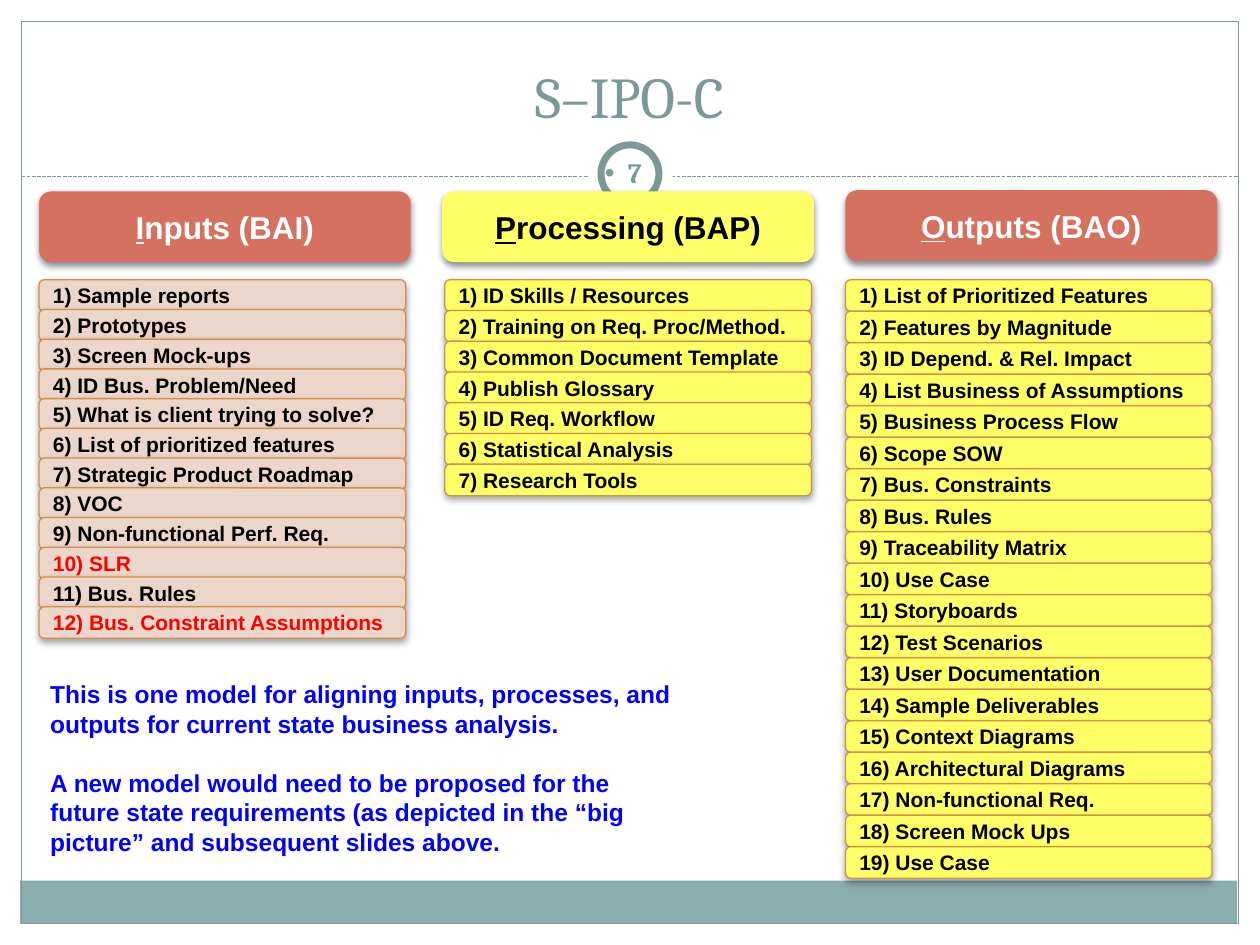
import pptx
import pptx.util
import pptx.dml.color
import pptx.enum.dml
import pptx.enum.shapes
import pptx.enum.text
import pptx.oxml
import pptx.oxml.ns

Pt = pptx.util.Pt
Shape = pptx.enum.shapes.MSO_SHAPE
Anchor = pptx.enum.text.MSO_ANCHOR
Align = pptx.enum.text.PP_ALIGN

COLS, ROWS = 100, 75
COLORS = {
    "white": "FFFFFF", "black": "000000", "red": "FF0000", "blue": "0000FF",
    "teal": "7C999A", "band": "8CADAE", "rust": "D4725F",
    "yellow": "FFFF66", "sand": "ECD6C9", "edge": "D19049",
}

# heading, heading fill, heading text, heading left and top, list left, row step, list fill, items
LISTS = [
    ("Inputs (BAI)", "rust", "white", 3.1, 15.2, 3.1, 2.36, "sand", [
        "Sample reports", "Prototypes", "Screen Mock-ups",
        "ID Bus. Problem/Need", "What is client trying to solve?",
        "List of prioritized features", "Strategic Product Roadmap", "VOC",
        "Non-functional Perf. Req.", "SLR", "Bus. Rules",
        "Bus. Constraint Assumptions"]),
    ("Processing (BAP)", "yellow", "black", 35.1, 15.2, 35.3, 2.44, "yellow", [
        "ID Skills / Resources", "Training on Req. Proc/Method.",
        "Common Document Template", "Publish Glossary", "ID Req. Workflow",
        "Statistical Analysis", "Research Tools"]),
    ("Outputs (BAO)", "rust", "white", 67.1, 15.1, 67.1, 2.5, "yellow", [
        "List of Prioritized Features", "Features by Magnitude",
        "ID Depend. & Rel. Impact", "List Business of Assumptions",
        "Business Process Flow", "Scope SOW", "Bus. Constraints",
        "Bus. Rules", "Traceability Matrix", "Use Case", "Storyboards",
        "Test Scenarios", "User Documentation", "Sample Deliverables",
        "Context Diagrams", "Architectural Diagrams", "Non-functional Req.",
        "Screen Mock Ups", "Use Case"]),
]
ALERTS = {"SLR", "Bus. Constraint Assumptions"}
NOTES = [
    "This is one model for aligning inputs, processes, and outputs for "
    "current state business analysis.",
    "A new model would need to be proposed for the future state requirements "
    "(as depicted in the “big picture” and subsequent slides above.",
]


class Deck:
    def __init__(self):
        self.prs = pptx.Presentation()
        self.prs.slide_width = pptx.util.Inches(10)
        self.prs.slide_height = pptx.util.Inches(7.5)
        self.slide = self.prs.slides.add_slide(self.prs.slide_layouts[5])
        self.shapes = self.slide.shapes

    def grid(self, x, y, w, h):
        """Turn grid columns and rows into slide lengths."""
        col = self.prs.slide_width / COLS
        row = self.prs.slide_height / ROWS
        return [round(n) for n in (x * col, y * row, w * col, h * row)]

    def color(self, name):
        return pptx.dml.color.RGBColor.from_string(COLORS[name])

    def style(self, para, size, color, face="Arial", bold=True):
        font = para.font
        font.size, font.name, font.bold = Pt(size), face, bold
        font.color.rgb = self.color(color)

    def box(self, area, fill=None, line=None, width=0.75, kind=Shape.RECTANGLE):
        shape = self.shapes.add_shape(kind, *self.grid(*area))
        shape.shadow.inherit = False
        if fill:
            shape.fill.solid()
            shape.fill.fore_color.rgb = self.color(fill)
        else:
            shape.fill.background()
        if line:
            shape.line.color.rgb = self.color(line)
            shape.line.width = Pt(width)
        else:
            shape.line.fill.background()
        return shape

    def rule(self, x, y, w):
        left, top, wide, _ = self.grid(x, y, w, 0)
        line = self.shapes.add_connector(
            pptx.enum.shapes.MSO_CONNECTOR.STRAIGHT, left, top, left + wide, top)
        line.line.color.rgb = self.color("teal")
        line.line.width = Pt(0.75)
        line.line.dash_style = pptx.enum.dml.MSO_LINE.SQUARE_DOT
        props = line._element.spPr
        props.append(props.makeelement(pptx.oxml.ns.qn("a:effectLst"), {}))

    def card(self, area, fill, line=None, alpha=35):
        """Add a rounded box with a soft shadow and return its paragraph."""
        shape = self.box(area, fill, line, kind=Shape.FLOWCHART_ALTERNATE_PROCESS)
        shade = pptx.oxml.parse_xml(
            f'<a:outerShdw {pptx.oxml.ns.nsdecls("a")} blurRad="{Pt(4)}" '
            f'dist="{Pt(2)}" dir="5400000" rotWithShape="0">'
            f'<a:srgbClr val="{COLORS["black"]}"><a:alpha val="{alpha * 1000}"/>'
            '</a:srgbClr></a:outerShdw>')
        shape._element.spPr.find(pptx.oxml.ns.qn("a:effectLst")).append(shade)
        frame = shape.text_frame
        frame.word_wrap = False
        frame.vertical_anchor = Anchor.MIDDLE
        return frame.paragraphs[0]

    def head(self, text, area, fill, color):
        para = self.card(area, fill, alpha=45)
        para.alignment = Align.CENTER
        self.style(para, 18, color)
        first, rest = para.add_run(), para.add_run()
        first.text, rest.text = text[0], text[1:]
        first.font.underline = True

    def item(self, text, area, fill, color):
        para = self.card(area, fill, "edge")
        para.text = text
        para.alignment = Align.LEFT
        self.style(para, 12, color)

    def title(self, text, area):
        shape = self.shapes.title
        self.shapes._spTree.append(shape._element)
        shape.left, shape.top, shape.width, shape.height = self.grid(*area)
        frame = shape.text_frame
        frame.text = text
        frame.auto_size = pptx.enum.text.MSO_AUTO_SIZE.NONE
        frame.vertical_anchor = Anchor.BOTTOM
        para = frame.paragraphs[0]
        para.alignment = Align.CENTER
        self.style(para, 33, "teal", "Cambria", False)

    def number(self, text, area):
        frame = self.shapes.add_textbox(*self.grid(*area)).text_frame
        frame.word_wrap = True
        frame.vertical_anchor = Anchor.MIDDLE
        frame.margin_left = frame.margin_right = pptx.util.Inches(0.05)
        frame.margin_top = frame.margin_bottom = pptx.util.Inches(0.05)
        para = frame.paragraphs[0]
        para.text = text
        para.alignment = Align.CENTER
        props = para._p.get_or_add_pPr()
        for tag, key, value in (("a:buFont", "typeface", "Arial"),
                                ("a:buChar", "char", "•")):
            props.append(props.makeelement(pptx.oxml.ns.qn(tag), {key: value}))
        self.style(para, 16, "teal", "Cambria")

    def notes(self, texts, area):
        frame = self.shapes.add_textbox(*self.grid(*area)).text_frame
        frame.word_wrap = True
        for i, text in enumerate(texts):
            para = frame.add_paragraph() if i else frame.paragraphs[0]
            para.text = text
            para.line_spacing = Pt(16.9)
            if i:
                para.space_before = Pt(16.9)
            self.style(para, 14, "blue")


def main():
    deck = Deck()
    for area in ((0, 0, 100, 15.2), (0, 0, 1.7, 75), (98.3, 0, 1.7, 75)):
        deck.box(area, "white")
    deck.box((1.6, 69.9, 96.6, 3.4), "band")
    deck.box((1.7, 1.7, 96.6, 71.6), line="teal")
    deck.rule(1.7, 14, 96.6)
    deck.box((46.7, 10.5, 6.7, 6.7), "white", kind=Shape.OVAL)
    deck.box((47.7, 11.5, 4.6, 4.6), "white", "teal", 4, Shape.OVAL)
    deck.title("S–IPO-C", (3.3, 2.5, 93.3, 8.3))
    deck.number("7", (47.5, 11.3, 5, 4.8))
    for name, fill, ink, left, top, edge, step, tint, items in LISTS:
        deck.head(name, (left, top, 29.5, 5.6), fill, ink)
        for i, text in enumerate(items):
            deck.item(f"{i + 1}) {text}", (edge, 22.2 + i * step, 29.1, 2.5),
                      tint, "red" if text in ALERTS else "black")
    deck.notes(NOTES, (3, 53.4, 51.6, 15.1))
    deck.prs.save("out.pptx")


if __name__ == "__main__":
    main()
